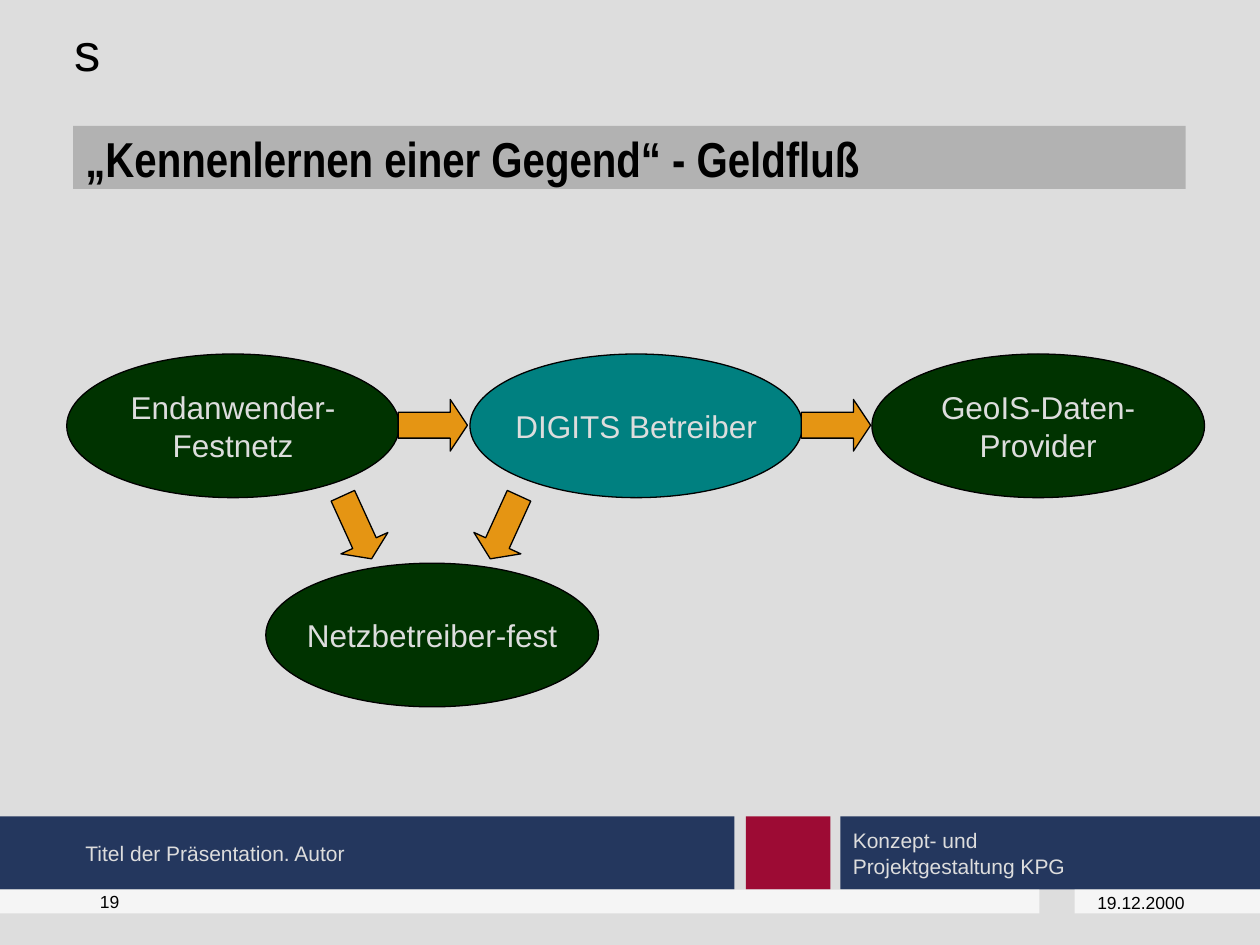
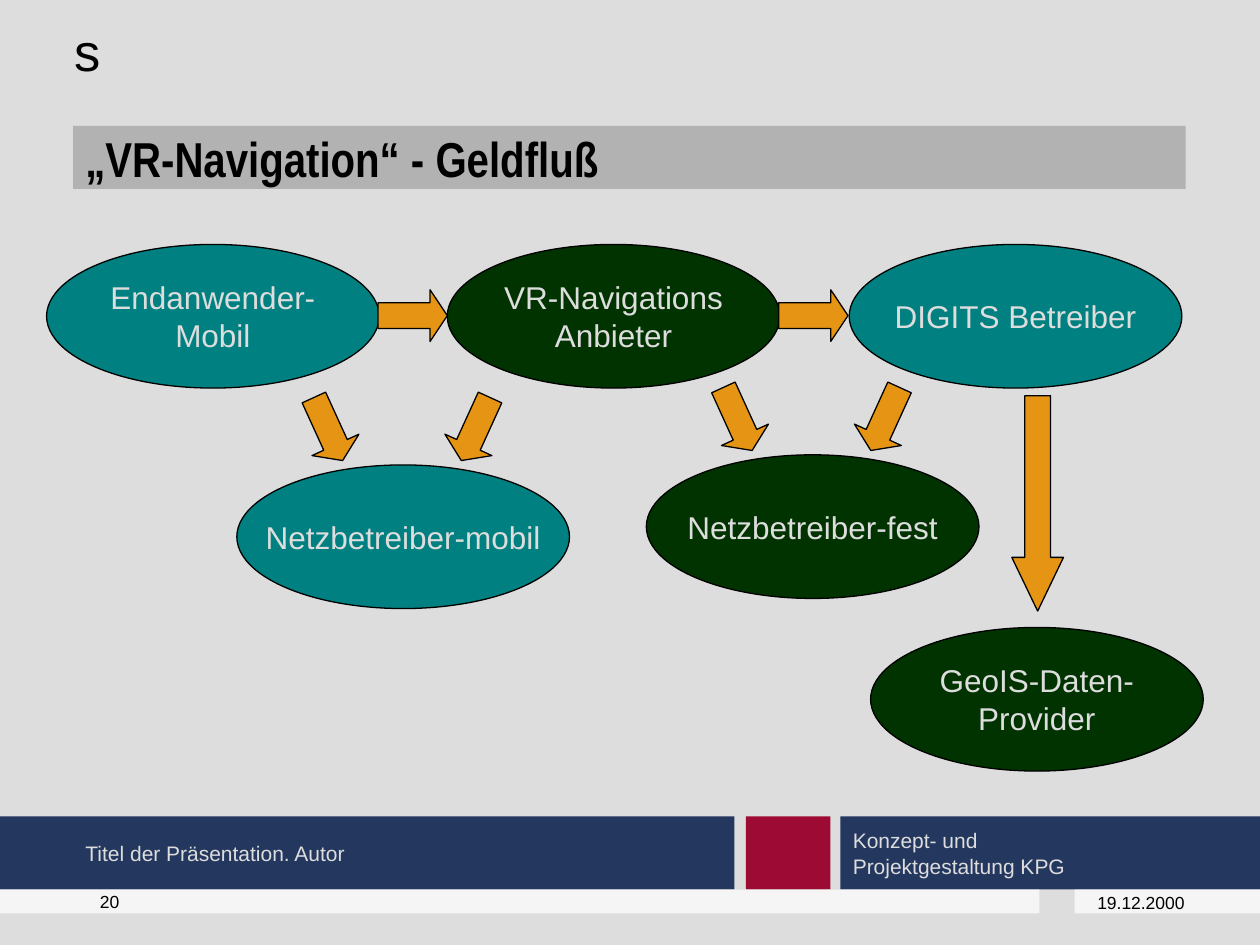
from pptx import Presentation
from pptx.dml.color import RGBColor
from pptx.enum.shapes import MSO_SHAPE as SHAPE
from pptx.enum.text import MSO_ANCHOR as ANCHOR, PP_ALIGN as ALIGN
from pptx.util import Inches, Pt

BACKGROUND = RGBColor(0xDD, 0xDD, 0xDD)
BLACK = RGBColor(0x00, 0x00, 0x00)
NAVY = RGBColor(0x24, 0x37, 0x5E)
CRIMSON = RGBColor(0x9D, 0x0B, 0x34)
PALE = RGBColor(0xF5, 0xF5, 0xF5)
TITLE_GREY = RGBColor(0xB2, 0xB2, 0xB2)
GREEN = RGBColor(0x00, 0x33, 0x00)
TEAL = RGBColor(0x00, 0x80, 0x80)
ORANGE = RGBColor(0xE5, 0x95, 0x13)

SMALL = {"size": Pt(12), "name": "Arial", "color": BACKGROUND}
FOOTER = {"size": Pt(10), "name": "Arial", "color": BLACK}
LETTER = {"size": Pt(30), "name": "Arial", "color": BLACK}
TITLE = {"size": Pt(28), "name": "Arial Narrow", "bold": True, "color": BLACK}
PARTY = {"size": Pt(18), "name": "Arial", "color": BACKGROUND}

PARTY_W, PARTY_H = 2.64, 1.14
ARROW_W, ARROW_H = 0.55, 0.41

BANDS = [
    (5.92, 6.48, 0.67, 0.58, CRIMSON),
    (0, 6.48, 5.83, 0.58, NAVY),
    (6.67, 6.48, 3.33, 0.58, NAVY),
    (0, 7.06, 8.25, 0.19, PALE),
    (8.53, 7.06, 1.47, 0.19, PALE),
]

# Parties in "row" pay their right neighbour; "networks" are paid by the two above.
SLIDES = [
    {
        "number": "19",
        "title": "„Kennenlernen einer Gegend“ - Geldfluß",
        "row": [
            (0.53, 2.81, GREEN, "Endanwender-\nFestnetz"),
            (3.73, 2.81, TEAL, "DIGITS Betreiber"),
            (6.92, 2.81, GREEN, "GeoIS-Daten-\nProvider"),
        ],
        "networks": [(2.11, 4.47, GREEN, "Netzbetreiber-fest")],
        "providers": [],
    },
    {
        "number": "20",
        "title": "„VR-Navigation“ - Geldfluß",
        "row": [
            (0.37, 1.94, TEAL, "Endanwender-\nMobil"),
            (3.55, 1.94, GREEN, "VR-Navigations\nAnbieter"),
            (6.74, 1.94, TEAL, "DIGITS Betreiber"),
        ],
        "networks": [
            (1.88, 3.69, TEAL, "Netzbetreiber-mobil"),
            (5.13, 3.61, GREEN, "Netzbetreiber-fest"),
        ],
        "providers": [(6.91, 4.98, GREEN, "GeoIS-Daten-\nProvider")],
    },
]


def add_shape(s, kind, x, y, w, h, fill, outlined=False):
    sp = s.shapes.add_shape(kind, Inches(x), Inches(y), Inches(w), Inches(h))
    sp.shadow.inherit = False
    sp.fill.solid()
    sp.fill.fore_color.rgb = fill
    if outlined:
        sp.line.color.rgb = BLACK
        sp.line.width = Pt(0.75)
    else:
        sp.line.fill.background()
    return sp


def write(sp, text, style, align=ALIGN.LEFT, anchor=ANCHOR.MIDDLE, wrap=True, inset=0.05):
    """Fill a shape with one paragraph per line of text."""
    tf = sp.text_frame
    tf.word_wrap = wrap
    tf.vertical_anchor = anchor
    tf.margin_left = tf.margin_right = Inches(0.1)
    tf.margin_top = tf.margin_bottom = Inches(inset)
    for i, line in enumerate(text.split("\n")):
        p = tf.add_paragraph() if i else tf.paragraphs[0]
        p.alignment = align
        r = p.add_run()
        r.text = line
        for key, value in style.items():
            if key == "color":
                r.font.color.rgb = value
            else:
                setattr(r.font, key, value)


prs = Presentation()
prs.slide_width, prs.slide_height = Inches(10), Inches(7.5)

for content in SLIDES:
    s = prs.slides.add_slide(prs.slide_layouts[6])
    s.background.fill.solid()
    s.background.fill.fore_color.rgb = BACKGROUND

    for x, y, w, h, color in BANDS:
        band = add_shape(s, SHAPE.RECTANGLE, x, y, w, h, color)
        if x == 6.67:
            write(band, "Konzept- und\nProjektgestaltung KPG", SMALL)

    letter = s.shapes.add_textbox(Inches(0.49), Inches(0.1), Inches(1.42), Inches(0.6))
    write(letter, "s", LETTER, anchor=ANCHOR.TOP)

    title = add_shape(s, SHAPE.RECTANGLE, 0.58, 1, 8.83, 0.5, TITLE_GREY)
    write(title, content["title"], TITLE, inset=0)

    row, networks, providers = content["row"], content["networks"], content["providers"]
    for x, y, color, name in row + networks + providers:
        party = add_shape(s, SHAPE.OVAL, x, y, PARTY_W, PARTY_H, color, outlined=True)
        write(party, name, PARTY, ALIGN.CENTER, wrap=False)

    # Each arrow: left, top, length, rotation, head length relative to its height
    arrows = [(x + PARTY_W - 0.01, y + 0.36, ARROW_W, 0, 0.333) for x, y, *_ in row[:-1]]
    for x, y, *_ in networks:
        arrows += [(x + 0.45, y - 0.49, ARROW_W, 65.5, 0.333),
                   (x + 1.62, y - 0.49, ARROW_W, 114.5, 0.333)]
    for x, y, *_ in providers:
        arrows.append((x + 0.47, y - 1.19, 1.71, 90, 1.04))
    for x, y, length, rotation, head in arrows:
        arrow = add_shape(s, SHAPE.RIGHT_ARROW, x, y, length, ARROW_H, ORANGE, outlined=True)
        arrow.adjustments[0] = 0.5
        arrow.adjustments[1] = head
        arrow.rotation = rotation

    for x, y, w, h, text, style, align in [
        (0.58, 6.48, 5.25, 0.58, "Titel der Präsentation. Autor", SMALL, ALIGN.LEFT),
        (0.58, 7.06, 0.58, 0.19, content["number"], FOOTER, ALIGN.CENTER),
        (8.53, 7.08, 1.05, 0.17, "19.12.2000", FOOTER, ALIGN.CENTER),
    ]:
        sp = s.shapes.add_textbox(Inches(x), Inches(y), Inches(w), Inches(h))
        write(sp, text, style, align)

prs.save("out.pptx")
